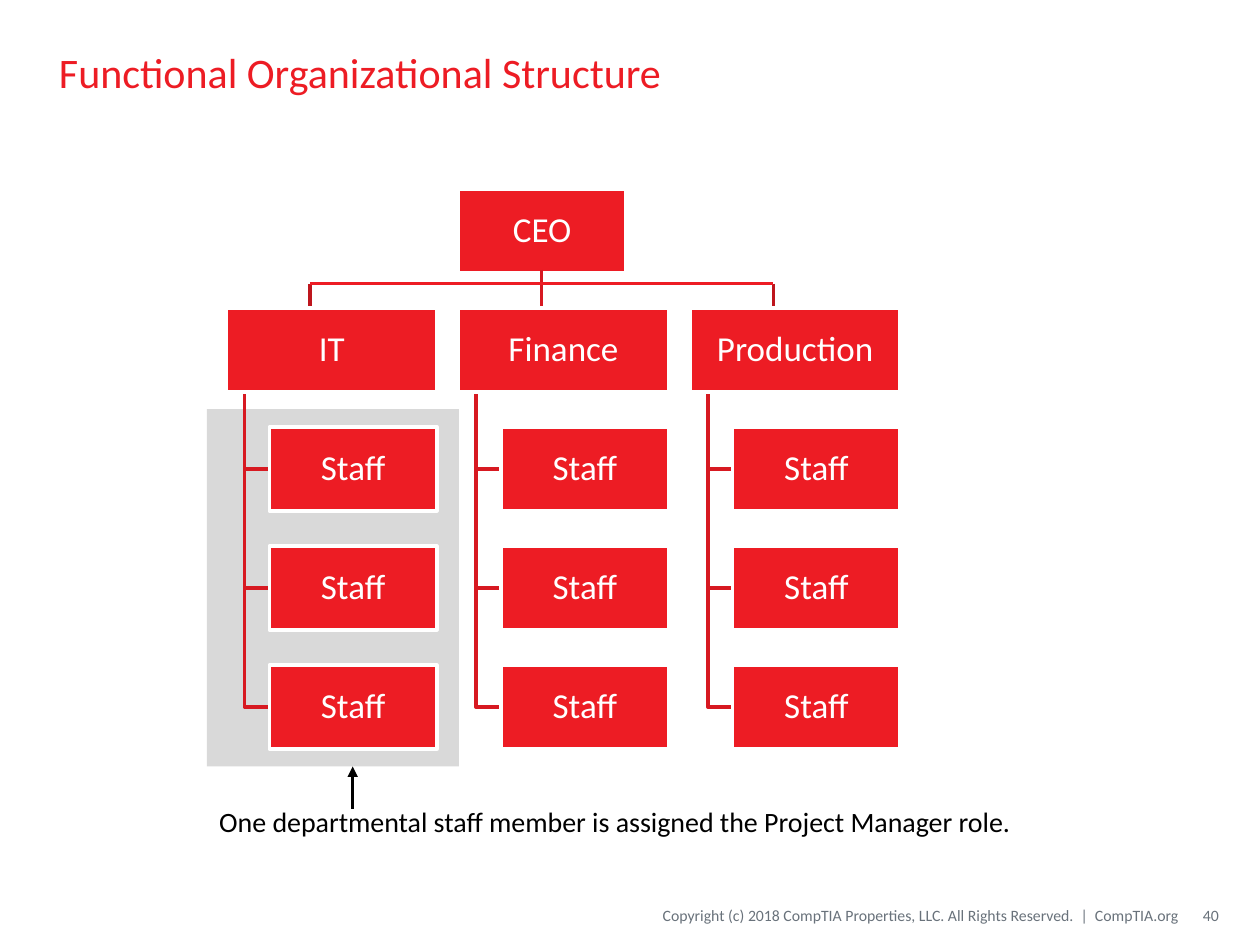
import pptx
import pptx.dml.color
import pptx.enum.shapes
import pptx.enum.text
import pptx.oxml.ns
import pptx.util
from lxml import etree

Cm = pptx.util.Cm
Pt = pptx.util.Pt
RGB = pptx.dml.color.RGBColor
KIND = pptx.enum.shapes.MSO_SHAPE
ALIGN = pptx.enum.text.PP_ALIGN
MIDDLE = pptx.enum.text.MSO_ANCHOR.MIDDLE
TOP = pptx.enum.text.MSO_ANCHOR.TOP

RED = RGB(0xED, 0x1C, 0x24)
RAIL = RGB(0xD7, 0x19, 0x21)
DARK = RGB(0xBE, 0x16, 0x1D)
WHITE = RGB(0xFF, 0xFF, 0xFF)
BLACK = RGB(0, 0, 0)
GREY = RGB(0xD9, 0xD9, 0xD9)
SLATE = RGB(0x69, 0x72, 0x7B)

TEAMS = ["IT", "Finance", "Production"]
LEFT, STEP = 4.57, 4.67
CROWN, ROW = 3.81, 2.4
HIGH, WIDE, SLIM = 1.69, 4.24, 3.38
INSET, RAIL_IN = 0.86, 0.36
BUS = 5.72


def write(frame, text, size=20, color=WHITE, align=ALIGN.LEFT,
          anchor=MIDDLE, inset=(0.25, 0.13, 0.25, 0.13), wrap=True, space=1.0):
    frame.word_wrap = wrap
    frame.vertical_anchor = anchor
    (frame.margin_left, frame.margin_top,
     frame.margin_right, frame.margin_bottom) = [Cm(n) for n in inset]
    para = frame.paragraphs[0]
    para.text = text
    para.alignment = align
    para.line_spacing = space
    font = para.runs[0].font
    font.name = "Calibri"
    font.size = Pt(size)
    font.color.rgb = color


def label(slide, x, y, w, h, text, **style):
    box = slide.shapes.add_textbox(Cm(x), Cm(y), Cm(w), Cm(h))
    write(box.text_frame, text, **style)


def block(slide, x, y, w, h, fill):
    shape = slide.shapes.add_shape(KIND.RECTANGLE, Cm(x), Cm(y), Cm(w), Cm(h))
    shape.shadow.inherit = False
    shape.fill.solid()
    shape.fill.fore_color.rgb = fill
    shape.line.fill.background()
    return shape


def card(slide, x, row, w, text):
    shape = block(slide, x, CROWN + row * ROW, w, HIGH, RED)
    shape.line.color.rgb = WHITE
    shape.line.width = Pt(2)
    write(shape.text_frame, text, align=ALIGN.CENTER,
          inset=(0.03,) * 4, space=0.9)


def line(slide, x, y, x2, y2, color, width, head=False):
    link = slide.shapes.add_connector(
        pptx.enum.shapes.MSO_CONNECTOR.STRAIGHT, Cm(x), Cm(y), Cm(x2), Cm(y2))
    link.line.color.rgb = color
    link.line.width = Pt(width)
    qn = pptx.oxml.ns.qn
    if head:
        etree.SubElement(link.line._get_or_add_ln(), qn("a:headEnd"),
                         type="triangle")
    etree.SubElement(link._element.spPr, qn("a:effectLst"))


def elbow(slide, x, y, x2, y2):
    pen = slide.shapes.build_freeform(Cm(x), Cm(y))
    pen.add_line_segments([(Cm(x), Cm(y2)), (Cm(x2), Cm(y2))], close=False)
    shape = pen.convert_to_shape()
    shape.shadow.inherit = False
    shape.fill.background()
    shape.line.color.rgb = RAIL
    shape.line.width = Pt(2)


def chart(slide):
    lefts = [LEFT + STEP * n for n in range(len(TEAMS))]
    mids = [10.92 + STEP * n for n in (-1, 0, 1)]
    for x in lefts:
        for row in (4, 3, 2):
            elbow(slide, x + RAIL_IN, CROWN + ROW + HIGH,
                  x + INSET, CROWN + row * ROW + HIGH / 2)
    card(slide, lefts[1], 0, SLIM, "CEO")
    for x in lefts:
        for row in (2, 3, 4):
            card(slide, x + INSET, row, SLIM, "Staff")
    for x in (mids[0], mids[2]):
        line(slide, x, BUS, x, 6.43, DARK, 2)
    elbow(slide, mids[1], 5.44, mids[1] + 0.51, 6.99)
    line(slide, mids[0], BUS, mids[2], BUS, RED, 1.5)
    for x, team in zip(lefts, TEAMS):
        card(slide, x, 1, WIDE, team)


def main():
    deck = pptx.Presentation()
    deck.slide_width, deck.slide_height = Cm(25.4), Cm(19.05)
    slide = deck.slides.add_slide(deck.slide_layouts[6])
    small = dict(size=9, color=SLATE, align=ALIGN.RIGHT)
    label(slide, 9.86, 18.08, 13.89, 0.76,
          "Copyright (c) 2018 CompTIA Properties, LLC. "
          "All Rights Reserved.  |  CompTIA.org",
          inset=(0, 0.13, 0, 0.13), **small)
    label(slide, 0.94, 0.28, 23.5, 2.34, "Functional Organizational Structure",
          size=24, color=RED)
    label(slide, 23.83, 18.08, 0.74, 0.76, "40",
          inset=(0.25, 0.13, 0, 0.13), **small)
    label(slide, 4.17, 16.08, 17.07, 0.94,
          "One departmental staff member is assigned the Project Manager role.",
          size=16, color=BLACK, anchor=TOP, wrap=False)
    block(slide, 4.17, 8.25, 5.08, 7.2, GREY)
    line(slide, 7.11, 15.45, 7.11, 16.3, BLACK, 1.5, head=True)
    chart(slide)
    deck.save("out.pptx")


if __name__ == "__main__":
    main()
